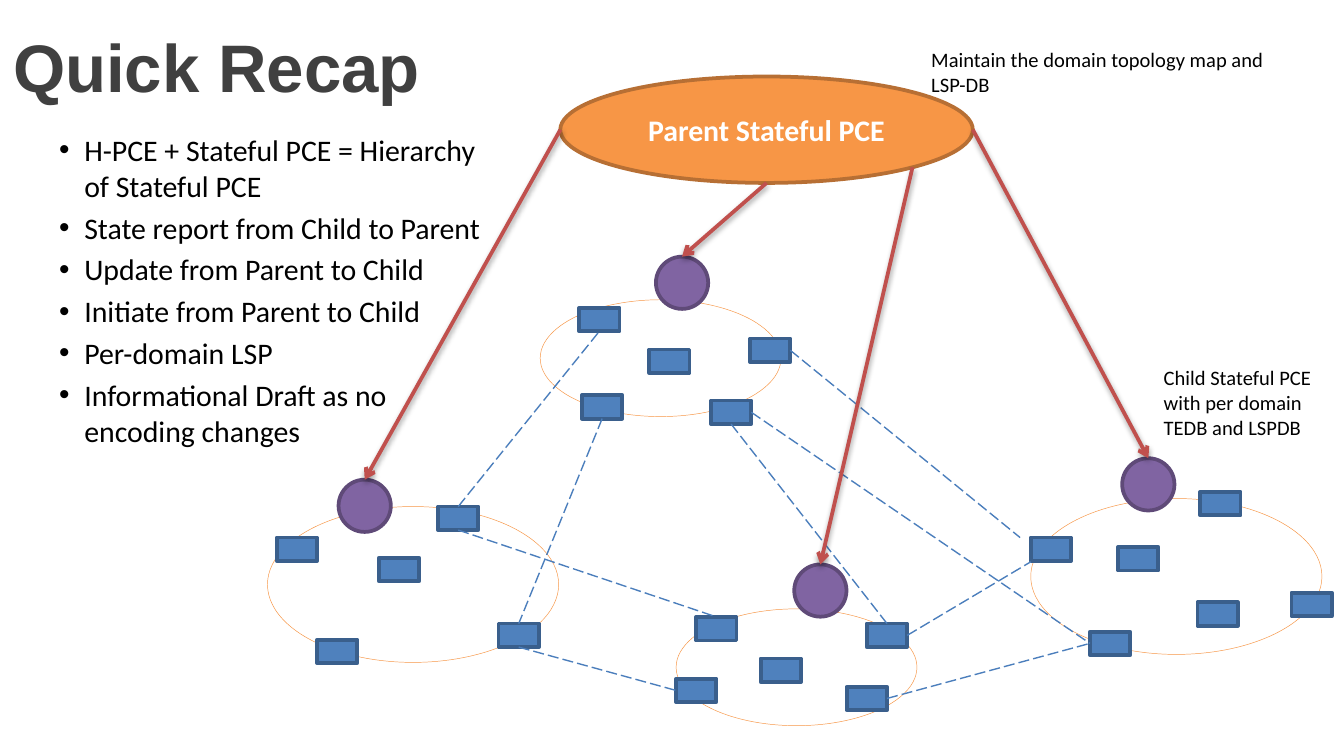
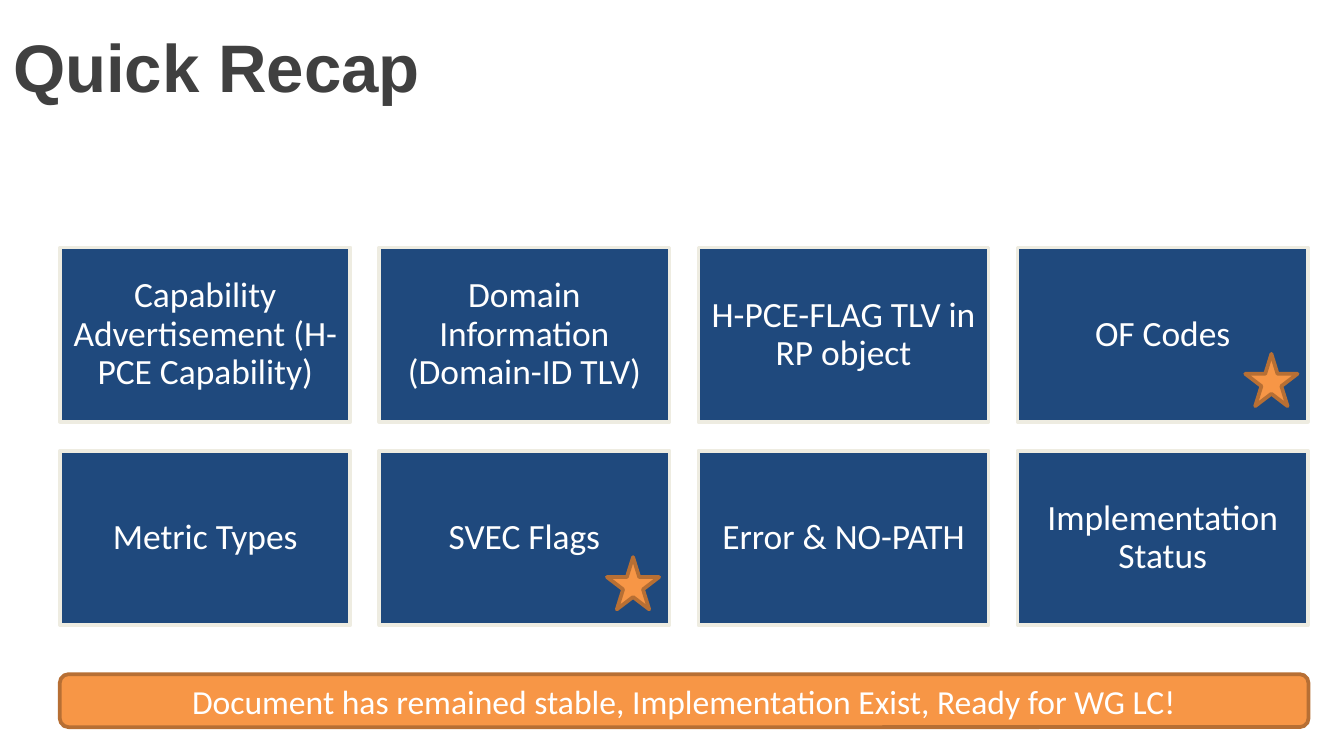
import collections
import math

import pptx
import pptx.dml.color
import pptx.enum.dml
import pptx.enum.shapes
import pptx.enum.text
import pptx.oxml
import pptx.oxml.ns
import pptx.util

Pt = pptx.util.Pt
RGBColor = pptx.dml.color.RGBColor
Shape = pptx.enum.shapes.MSO_SHAPE
Align = pptx.enum.text.PP_ALIGN
Anchor = pptx.enum.text.MSO_ANCHOR
Box = collections.namedtuple("Box", "left top width height")
Domain = collections.namedtuple("Domain", "box pce routers")

WHITE = RGBColor(0xFF, 0xFF, 0xFF)
BLACK = RGBColor(0x00, 0x00, 0x00)
TITLE_GREY = RGBColor(0x40, 0x40, 0x40)
ORANGE = RGBColor(0xF7, 0x96, 0x46)
DARK_ORANGE = RGBColor(0xB7, 0x6F, 0x34)
BLUE = RGBColor(0x4F, 0x81, 0xBD)
DARK_BLUE = RGBColor(0x3A, 0x5F, 0x8C)
LINK_BLUE = RGBColor(0x4B, 0x7E, 0xBC)
PURPLE = RGBColor(0x80, 0x64, 0xA2)
DARK_PURPLE = RGBColor(0x5F, 0x4A, 0x78)
RED = RGBColor(0xC0, 0x50, 0x4D)
NAVY = RGBColor(0x1F, 0x49, 0x7D)
CREAM = RGBColor(0xEE, 0xEC, 0xE1)

SLIDE = Box(0, 0, 720, 405)
ROUTER_SIZE = (21.6, 12.6)
PCE_SIZE = 28
TOP, LEFT, BOTTOM, RIGHT = range(4)

# PCE and router positions are relative to the domain's box.
DOMAINS = {
    "west": Domain(Box(143.3, 271.4, 156, 83.5), (38.1, -14.4), {
        "nw": (5, 16.6), "n": (91.4, 0), "mid": (59.7, 27.4),
        "sw": (26.6, 71.3), "se": (123.8, 62.7)}),
    "north": Domain(Box(289.4, 160.6, 129, 62.6), (62, -23.1), {
        "nw": (20.9, 4.3), "e": (112.4, 20.8), "mid": (58.4, 26.6),
        "sw": (22.4, 51.1), "se": (91.5, 54)}),
    "south": Domain(Box(362.2, 326.2, 129, 62.6), (63.3, -23.8), {
        "nw": (10.8, 4.3), "ne": (102.2, 7.9), "mid": (45.3, 26.6),
        "sw": (0, 37.4), "se": (91.4, 41.7)}),
    "east": Domain(Box(552.2, 267.1, 156, 83.5), (49, -21.6), {
        "w": (0, 20.9), "n": (90.8, -3.6), "mid": (46.8, 25.9),
        "s": (31.7, 71.3), "se": (89.3, 55.5), "e": (139.7, 50.4)}),
}
# Each link runs from a router's side to another one's side or to a point.
LINKS = [
    ("north", "se", BOTTOM, ("south", "ne", TOP)),
    ("west", "n", TOP, ("north", "nw", BOTTOM)),
    ("west", "se", BOTTOM, ("south", "sw", LEFT)),
    ("west", "n", BOTTOM, ("south", "nw", TOP)),
    ("north", "se", RIGHT, ("east", "s", LEFT)),
    ("south", "se", RIGHT, ("east", "s", LEFT)),
    ("north", "sw", BOTTOM, ("west", "se", TOP)),
    ("north", "e", RIGHT, (546.5, 288)),
    ("south", "ne", RIGHT, (552.2, 301)),
]
# Where on the parent's rim each arrow leaves, clockwise from the right.
ARROW_ANGLES = {"west": 180, "north": 90, "south": 45, "east": 0}

RECAP_POINTS = [
    "H-PCE + Stateful PCE = Hierarchy of Stateful PCE",
    "State report from Child to Parent",
    "Update from Parent to Child",
    "Initiate from Parent to Child",
    "Per-domain LSP",
    "Informational Draft as no encoding changes",
]
TOPICS = [
    "Capability Advertisement (H-PCE Capability)",
    "Domain Information (Domain-ID TLV)",
    "H-PCE-FLAG TLV in RP object",
    "OF Codes",
    "Metric Types",
    "SVEC Flags",
    "Error & NO-PATH",
    "Implementation Status",
]
STARRED = {"OF Codes", "SVEC Flags"}


def in_points(values):
    return [Pt(value) for value in values]


def write(holder, paragraphs, size, color, font="Calibri", bold=False,
          align=Align.LEFT, anchor=Anchor.TOP):
    frame = holder.text_frame
    frame.text = "\n".join(paragraphs)
    frame.word_wrap = True
    frame.vertical_anchor = anchor
    for paragraph in frame.paragraphs:
        paragraph.alignment = align
        for run in paragraph.runs:
            run.font.size = Pt(size)
            run.font.name = font
            run.font.bold = bold
            run.font.color.rgb = color
    return frame


def add_text(slide, box, paragraphs, size, color, **style):
    holder = slide.shapes.add_textbox(*in_points(box))
    return write(holder, paragraphs, size, color, **style)


def add_figure(slide, kind, box, fill, line, weight=2):
    figure = slide.shapes.add_shape(kind, *in_points(box))
    figure.shadow.inherit = False
    if fill is None:
        figure.fill.background()
    else:
        figure.fill.solid()
        figure.fill.fore_color.rgb = fill
    figure.line.color.rgb = line
    figure.line.width = Pt(weight)
    return figure


def add_line(slide, start, end, color, weight):
    line = slide.shapes.add_connector(
        pptx.enum.shapes.MSO_CONNECTOR.STRAIGHT, *in_points(start + end))
    line.line.color.rgb = color
    line.line.width = Pt(weight)
    effects = pptx.oxml.parse_xml(
        "<a:effectLst %s/>" % pptx.oxml.ns.nsdecls("a"))
    line._element.spPr.append(effects)
    return line, effects


def add_title(slide):
    add_text(slide, Box(0, 0, SLIDE.width, 70), ["Quick Recap"], 36,
             TITLE_GREY, font="Arial", bold=True, anchor=Anchor.MIDDLE)


def add_bullets(slide, box, points):
    frame = add_text(slide, box, points, 16, BLACK)
    frame.margin_left = Pt(31)
    for paragraph in frame.paragraphs:
        paragraph.space_before = Pt(3.2)
        properties = paragraph._p.get_or_add_pPr()
        properties.set("marL", str(Pt(13.5)))
        properties.set("indent", str(-Pt(13.5)))
        properties.append(pptx.oxml.parse_xml(
            '<a:buFont %s typeface="Arial"/>' % pptx.oxml.ns.nsdecls("a")))
        properties.append(pptx.oxml.parse_xml(
            '<a:buChar %s char="•"/>' % pptx.oxml.ns.nsdecls("a")))


def add_domain(slide, domain):
    """Draw the domain's outline and return its routers by position."""
    box = domain.box
    add_figure(slide, Shape.OVAL, box, None, ORANGE, 0.25)
    return {
        place: add_figure(slide, Shape.RECTANGLE,
                          (box.left + x, box.top + y) + ROUTER_SIZE,
                          BLUE, DARK_BLUE)
        for place, (x, y) in domain.routers.items()
    }


def add_links(slide, routers):
    for name, place, side, target in LINKS:
        joined = len(target) == 3
        end = (0, 0) if joined else target
        link, _ = add_line(slide, (0, 0), end, LINK_BLUE, 0.75)
        link.line.dash_style = pptx.enum.dml.MSO_LINE.LONG_DASH
        link.begin_connect(routers[name][place], side)
        if joined:
            end_name, end_place, end_side = target
            link.end_connect(routers[end_name][end_place], end_side)


def add_control_arrow(slide, start, end):
    arrow, effects = add_line(slide, start, end, RED, 2)
    arrow.line._get_or_add_ln().append(pptx.oxml.parse_xml(
        '<a:tailEnd %s type="arrow"/>' % pptx.oxml.ns.nsdecls("a")))
    effects.append(pptx.oxml.parse_xml(
        '<a:outerShdw %s blurRad="%d" dist="%d" dir="5400000" rotWithShape="0">'
        '<a:srgbClr val="000000"><a:alpha val="38000"/></a:srgbClr>'
        '</a:outerShdw>' % (pptx.oxml.ns.nsdecls("a"), Pt(3.1), Pt(1.6))))


def add_hierarchy(slide, parent_box):
    """Draw the parent, its child PCEs and the arrows between them."""
    parent = add_figure(slide, Shape.OVAL, parent_box, ORANGE, DARK_ORANGE)
    write(parent, ["Parent Stateful PCE"], 16, WHITE, bold=True,
          align=Align.CENTER, anchor=Anchor.MIDDLE)
    radius_x, radius_y = parent_box.width / 2, parent_box.height / 2
    for name, domain in DOMAINS.items():
        left = domain.box.left + domain.pce[0]
        top = domain.box.top + domain.pce[1]
        add_figure(slide, Shape.OVAL, (left, top, PCE_SIZE, PCE_SIZE),
                   PURPLE, DARK_PURPLE)
        angle = math.radians(ARROW_ANGLES[name])
        start = (parent_box.left + radius_x * (1 + math.cos(angle)),
                 parent_box.top + radius_y * (1 + math.sin(angle)))
        add_control_arrow(slide, start, (left + PCE_SIZE / 2, top))


def build_hierarchy_slide(slide):
    add_title(slide)
    routers = {name: add_domain(slide, domain)
               for name, domain in DOMAINS.items()}
    add_links(slide, routers)
    add_hierarchy(slide, Box(300.2, 41, 221, 57))
    add_text(slide, Box(616.3, 192.2, 106.6, 47.5),
             ["Child Stateful PCE", "with per domain TEDB and LSPDB"],
             11, BLACK)
    add_text(slide, Box(491.8, 21.6, 196.6, 33.8),
             ["Maintain the domain topology map and LSP-DB"], 11, BLACK)
    add_bullets(slide, Box(0.7, 67, 264.3, 289.4), RECAP_POINTS)


def add_topic_card(slide, box, topic):
    card = add_figure(slide, Shape.RECTANGLE, box, NAVY, CREAM)
    frame = write(card, [topic], 19, WHITE, align=Align.CENTER,
                  anchor=Anchor.MIDDLE)
    frame.margin_left = frame.margin_right = Pt(5.7)
    frame.margin_top = frame.margin_bottom = Pt(5.7)
    frame.paragraphs[0].line_spacing = 0.9
    if topic in STARRED:
        add_figure(slide, Shape.STAR_5_POINT,
                   (box.left + 122, box.top + 57, 28, 28),
                   ORANGE, DARK_ORANGE)


def add_topic_grid(slide, box, columns=4, rows=2, gap=15.5):
    width = (box.width - gap * (columns - 1)) / columns
    height = (box.height - gap * (rows - 1)) / rows
    for index, topic in enumerate(TOPICS):
        row, column = divmod(index, columns)
        card_box = Box(box.left + column * (width + gap),
                       box.top + row * (height + gap), width, height)
        add_topic_card(slide, card_box, topic)


def build_topics_slide(slide):
    add_title(slide)
    add_topic_grid(slide, Box(32.2, 132.6, 668.4, 202.3))
    banner = add_figure(slide, Shape.ROUNDED_RECTANGLE,
                        Box(32, 361.2, 669, 28.4), ORANGE, DARK_ORANGE)
    write(banner,
          ["Document has remained stable, Implementation Exist, "
           "Ready for WG LC!"],
          18, WHITE, align=Align.CENTER, anchor=Anchor.MIDDLE)


def main():
    deck = pptx.Presentation()
    deck.slide_width, deck.slide_height = Pt(SLIDE.width), Pt(SLIDE.height)
    blank = deck.slide_layouts[6]
    for build in (build_hierarchy_slide, build_topics_slide):
        build(deck.slides.add_slide(blank))
    deck.save("out.pptx")


if __name__ == "__main__":
    main()
